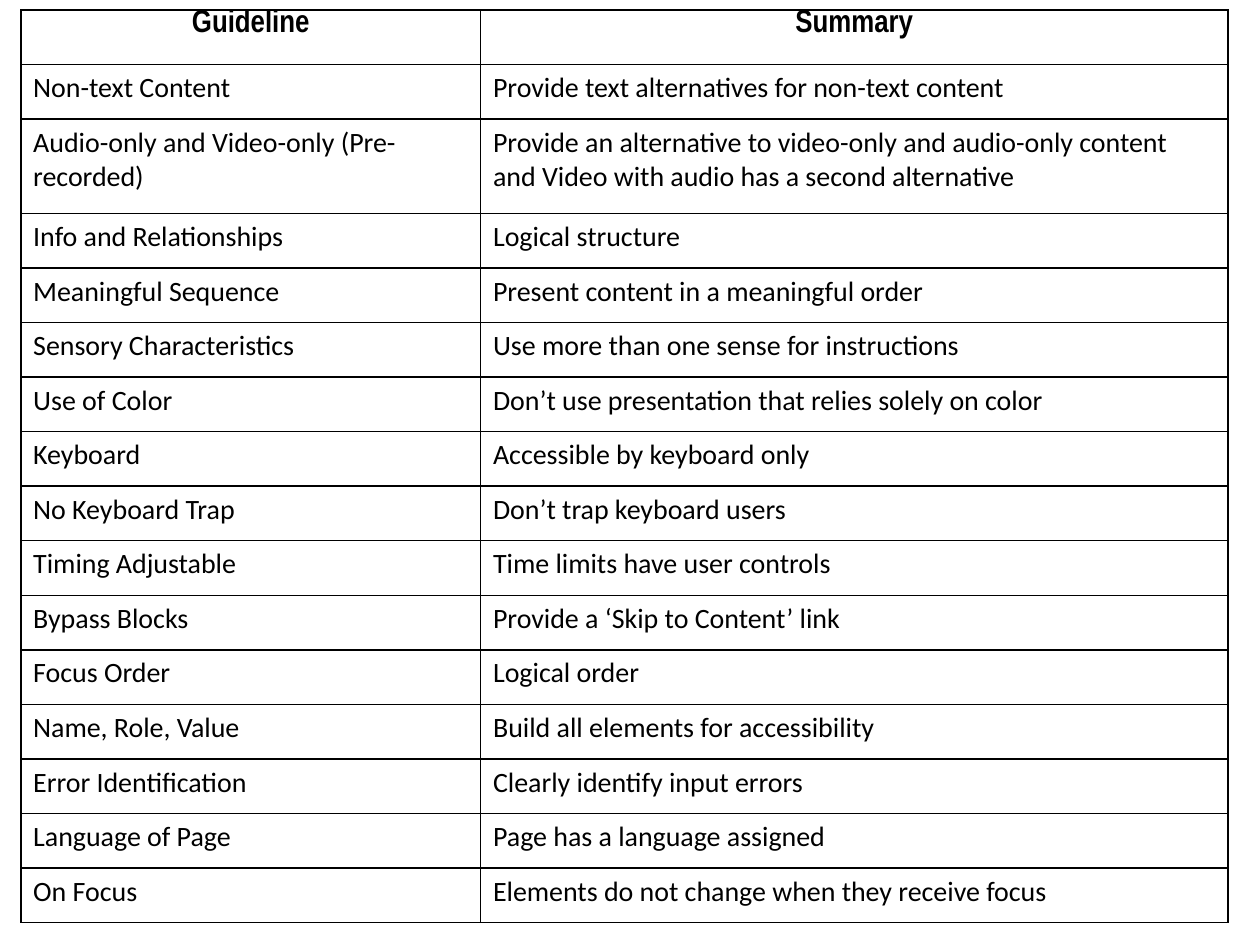
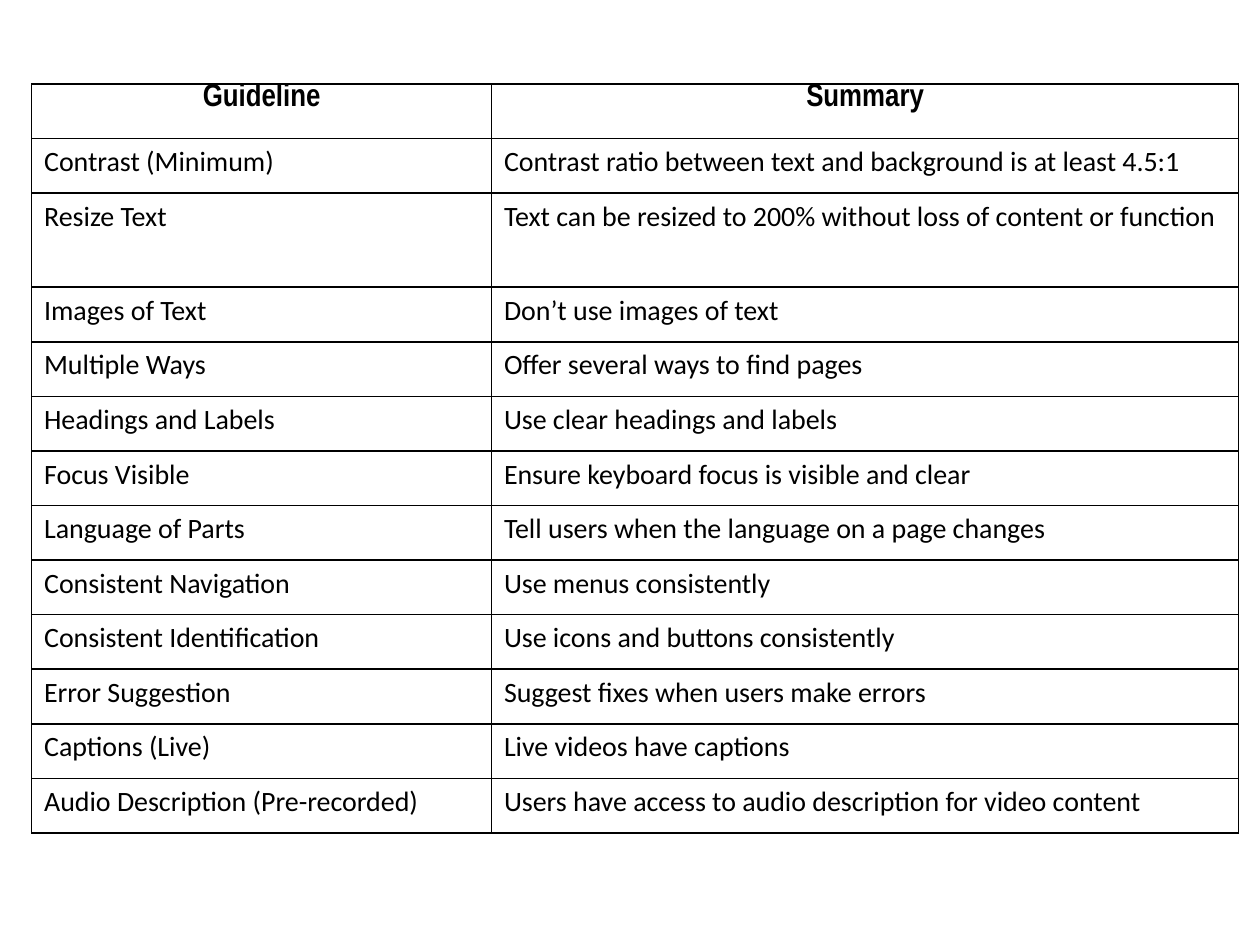
from lxml.etree import SubElement
from pptx import Presentation
from pptx.dml.color import RGBColor
from pptx.enum.text import PP_ALIGN
from pptx.oxml.ns import qn
from pptx.util import Cm, Pt

INK = "000000"
HEAD = ("Guideline", "Summary")
COLS = (9.27, 15.06)
ROW, TALL = 1.1, 1.9
TALL_ROW = 2

LEVEL_A = [
    ("Non-text Content", "Provide text alternatives for non-text content"),
    ("Audio-only and Video-only (Pre-recorded)",
     "Provide an alternative to video-only and audio-only content "
     "and Video with audio has a second alternative"),
    ("Info and Relationships", "Logical structure"),
    ("Meaningful Sequence", "Present content in a meaningful order"),
    ("Sensory Characteristics", "Use more than one sense for instructions"),
    ("Use of Color", "Don’t use presentation that relies solely on color"),
    ("Keyboard", "Accessible by keyboard only"),
    ("No Keyboard Trap", "Don’t trap keyboard users"),
    ("Timing Adjustable", "Time limits have user controls"),
    ("Bypass Blocks", "Provide a ‘Skip to Content’ link"),
    ("Focus Order", "Logical order"),
    ("Name, Role, Value", "Build all elements for accessibility"),
    ("Error Identification", "Clearly identify input errors"),
    ("Language of Page", "Page has a language assigned"),
    ("On Focus", "Elements do not change when they receive focus"),
]
LEVEL_AA = [
    ("Contrast (Minimum)",
     "Contrast ratio between text and background is at least 4.5:1"),
    ("Resize Text",
     "Text can be resized to 200% without loss of content or function"),
    ("Images of Text", "Don’t use images of text"),
    ("Multiple Ways", "Offer several ways to find pages"),
    ("Headings and Labels", "Use clear headings and labels"),
    ("Focus Visible", "Ensure keyboard focus is visible and clear"),
    ("Language of Parts", "Tell users when the language on a page changes"),
    ("Consistent Navigation", "Use menus consistently"),
    ("Consistent Identification", "Use icons and buttons consistently"),
    ("Error Suggestion", "Suggest fixes when users make errors"),
    ("Captions (Live)", "Live videos have captions"),
    ("Audio Description (Pre-recorded)",
     "Users have access to audio description for video content"),
]


def color(code):
    return RGBColor.from_string(code)


def add_rules(cell):
    """Draw a thin line on all four sides of the cell."""
    props = cell._tc.get_or_add_tcPr()
    for side in ("lnL", "lnR", "lnT", "lnB"):
        line = SubElement(props, qn(f"a:{side}"), w=str(Pt(1)))
        fill = SubElement(line, qn("a:solidFill"))
        SubElement(fill, qn("a:srgbClr"), val=INK)


def fill_cell(cell, text, is_head):
    add_rules(cell)
    cell.fill.background()
    cell.margin_left = cell.margin_right = Cm(0.25)
    cell.margin_top = cell.margin_bottom = Cm(0 if is_head else 0.13)
    cell.text_frame.text = text
    para = cell.text_frame.paragraphs[0]
    para.alignment = PP_ALIGN.CENTER if is_head else PP_ALIGN.LEFT
    font = para.runs[0].font
    font.name = "Arial Narrow" if is_head else "Calibri"
    font.size = Pt(18 if is_head else 16)
    font.bold = is_head
    font.color.rgb = color(INK)


def add_guide(slide, left, top, items):
    """Place a table of guidelines with its top left corner at the given point."""
    rows = [HEAD, *items]
    highs = [TALL if i == TALL_ROW else ROW for i in range(len(rows))]
    frame = slide.shapes.add_table(len(rows), len(COLS), Cm(left), Cm(top),
                                   Cm(sum(COLS)), Cm(sum(highs)))
    table = frame.table
    table.horz_banding = False
    for col, width in zip(table.columns, COLS):
        col.width = Cm(width)
    for i, (row, high, texts) in enumerate(zip(table.rows, highs, rows)):
        row.height = Cm(high)
        for cell, text in zip(row.cells, texts):
            fill_cell(cell, text, i == 0)


def main():
    deck = Presentation()
    deck.slide_width, deck.slide_height = Cm(25.4), Cm(19.05)
    blank = deck.slide_layouts[6]
    for left, top, items in ((0.42, 0.2, LEVEL_A), (0.64, 1.69, LEVEL_AA)):
        add_guide(deck.slides.add_slide(blank), left, top, items)
    deck.save("out.pptx")


if __name__ == "__main__":
    main()
